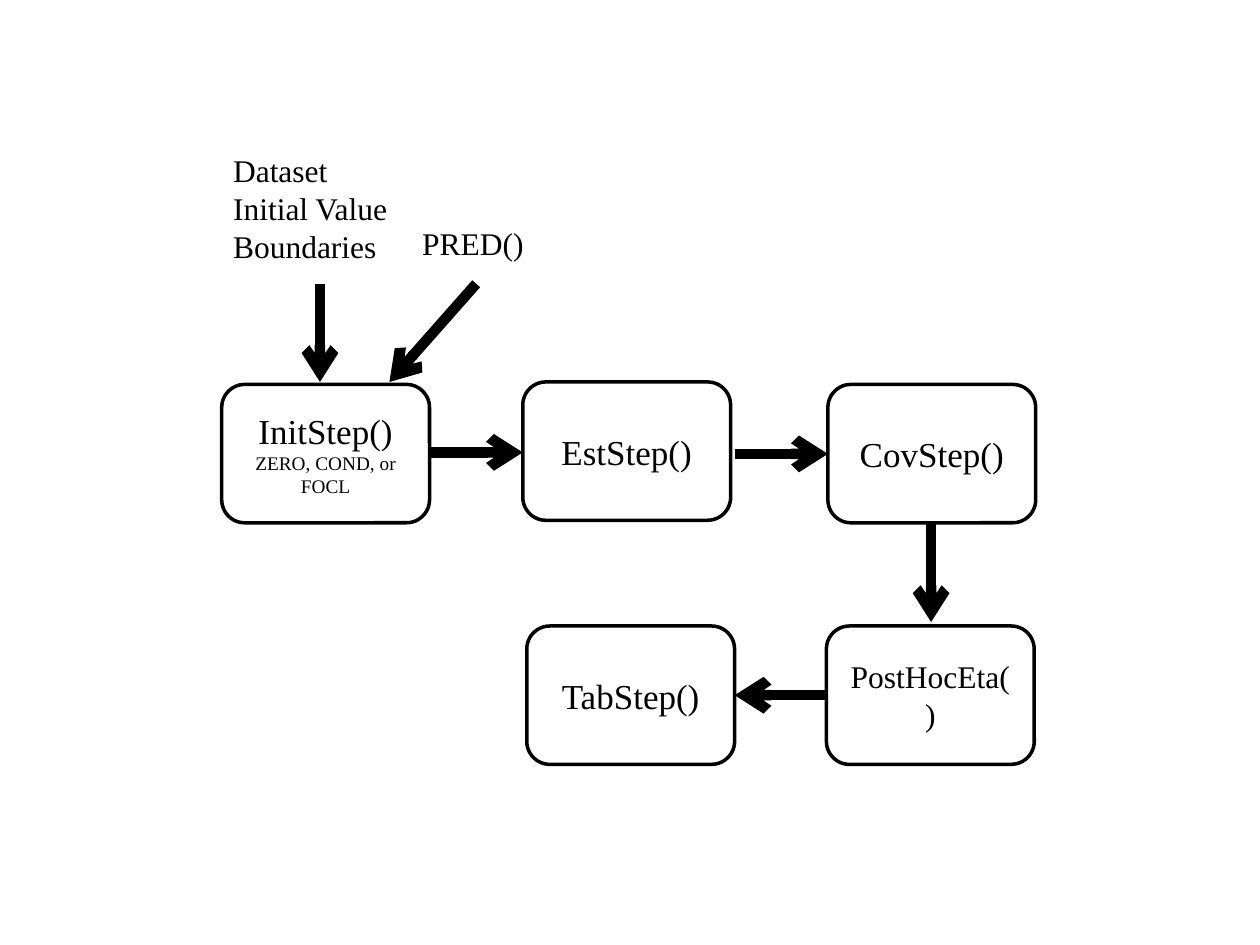
from dataclasses import dataclass

from lxml import etree
from pptx import Presentation
from pptx.dml.color import RGBColor
from pptx.enum.shapes import MSO_CONNECTOR, MSO_SHAPE
from pptx.enum.text import MSO_ANCHOR, MSO_AUTO_SIZE, PP_ALIGN
from pptx.oxml.ns import qn
from pptx.util import Cm, Pt

ROUNDED = MSO_SHAPE.ROUNDED_RECTANGLE
STRAIGHT = MSO_CONNECTOR.STRAIGHT
MIDDLE = MSO_ANCHOR.MIDDLE
CENTER = PP_ALIGN.CENTER
GROW = MSO_AUTO_SIZE.SHAPE_TO_FIT_TEXT

FONT = "Times New Roman"
BLACK = "000000"
STEP_WIDTH, STEP_HEIGHT = 4.19, 2.79


@dataclass
class Box:
    """An area of the slide, in centimetres."""

    left: float
    top: float
    width: float
    height: float

    def inner(self, left, top, width, height):
        """Return a box placed relative to this one."""
        return Box(self.left + left, self.top + top, width, height)

    def lengths(self):
        """Return left, top, width and height as slide lengths."""
        return Cm(self.left), Cm(self.top), Cm(self.width), Cm(self.height)


def color(value):
    """Turn a hex string into a colour."""
    return RGBColor.from_string(value)


def style_paragraph(para, size):
    """Set the font that all spans of a paragraph share."""
    para.font.name = FONT
    para.font.size = Pt(size)
    para.font.color.rgb = color(BLACK)


def add_step(page, box, name, size=20, note=None):
    """Add a rounded step with its name and an optional small note."""
    step = page.shapes.add_shape(ROUNDED, *box.lengths())
    step.shadow.inherit = False
    step.fill.background()
    step.line.color.rgb = color(BLACK)
    step.line.width = Pt(2)
    frame = step.text_frame
    frame.word_wrap = True
    frame.vertical_anchor = MIDDLE
    para = frame.paragraphs[0]
    para.alignment = CENTER
    style_paragraph(para, size)
    para.add_run().text = name
    if note:
        para.add_line_break()
        span = para.add_run()
        span.text = note
        span.font.size = Pt(11)


def add_arrow(page, box, start, end):
    """Add a thick arrow between two points of a box."""
    points = [Cm(value) for x, y in (start, end) for value in (box.left + x, box.top + y)]
    arrow = page.shapes.add_connector(STRAIGHT, *points)
    arrow.line.color.rgb = color(BLACK)
    arrow.line.width = Pt(6)
    etree.SubElement(arrow.line._get_or_add_ln(), qn("a:tailEnd"), type="arrow")
    etree.SubElement(arrow._element.spPr, qn("a:effectLst"))


def add_label(page, box, lines):
    """Add a text box with one paragraph for each line."""
    frame = page.shapes.add_textbox(*box.lengths()).text_frame
    frame.word_wrap = True
    frame.auto_size = GROW
    frame.text = "\n".join(lines)
    for para in frame.paragraphs:
        style_paragraph(para, 18)


def add_inputs(page, box):
    """Add the inputs and their arrows into the first step."""
    add_label(page, box.inner(0, 0, 4.39, 2.57), ["Dataset", "Initial Value", "Boundaries"])
    add_label(page, box.inner(3.81, 1.47, 4.39, 1.02), ["PRED()"])
    add_arrow(page, box, (2, 2.8), (2, box.height))
    add_arrow(page, box, (5.15, 2.8), (3.4, box.height))


def add_upper_row(page, box):
    """Add the steps that run from left to right."""
    last = box.width - STEP_WIDTH
    add_step(page, box.inner(0, 0.05, STEP_WIDTH, STEP_HEIGHT), "InitStep()",
             note="ZERO, COND, or FOCL")
    add_step(page, box.inner(6.07, 0, STEP_WIDTH, STEP_HEIGHT), "EstStep()")
    add_step(page, box.inner(last, 0.05, STEP_WIDTH, STEP_HEIGHT), "CovStep()")
    add_arrow(page, box, (STEP_WIDTH, 1.42), (6.07, 1.42))
    add_arrow(page, box, (10.34, 1.45), (last, 1.45))


def add_lower_row(page, box):
    """Add the steps that run from right to left and the arrow into them."""
    last = box.width - STEP_WIDTH
    add_step(page, box.inner(last, 0, STEP_WIDTH, STEP_HEIGHT), "PostHocEta()", size=18)
    add_step(page, box.inner(0, 0, STEP_WIDTH, STEP_HEIGHT), "TabStep()")
    add_arrow(page, box, (8.15, -2.08), (8.15, -0.08))
    add_arrow(page, box, (last, STEP_HEIGHT / 2), (STEP_WIDTH, STEP_HEIGHT / 2))


def main():
    """Build the deck with its single flow chart."""
    deck = Presentation()
    deck.slide_width, deck.slide_height = Cm(25.4), Cm(19.05)
    page = deck.slides.add_slide(deck.slide_layouts[6])
    add_inputs(page, Box(4.45, 2.92, 8.2, 4.78))
    add_upper_row(page, Box(4.47, 7.7, 16.41, 2.84))
    add_lower_row(page, Box(10.62, 12.62, 10.23, STEP_HEIGHT))
    deck.save("out.pptx")


if __name__ == "__main__":
    main()
